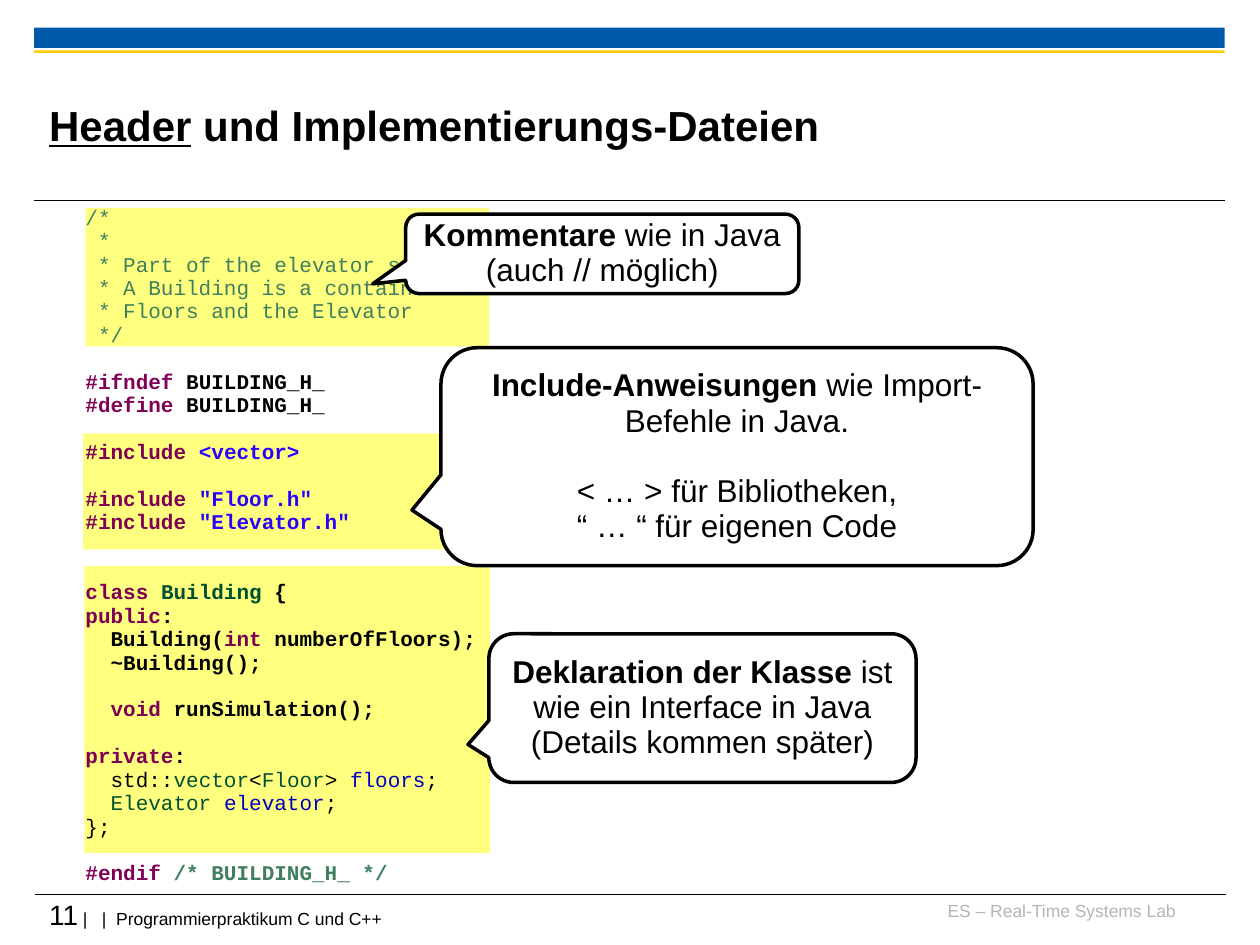
"""Build the slide on C++ header and implementation files."""
from lxml import etree
from pptx import Presentation
from pptx import util as u
from pptx.dml.color import RGBColor
from pptx.enum import shapes, text
from pptx.oxml.ns import qn

COLOURS = {
    "black": "000000", "white": "FFFFFF", "blue": "005AA9", "gold": "FDCA00",
    "grey": "B5B5B5", "highlight": "FFFF00", "comment": "3F7F5F",
    "keyword": "7F0055", "string": "2A00FF", "type": "005032", "field": "0000C0",
}
LINE_SPACING = 0.93


def add_spans(para, spans, size, font="Arial"):
    """Append (text, colour, bold) spans to a paragraph."""
    for content, colour, bold in spans:
        span = para.add_run()
        span.text = content
        span.font.name = font
        span.font.size = u.Pt(size)
        span.font.bold = bold
        span.font.color.rgb = RGBColor.from_string(COLOURS[colour])


def add_box(page, place, anchor=text.MSO_ANCHOR.TOP, inset=(0, 0)):
    """Add a wrapping text box and return it."""
    box = page.shapes.add_textbox(*map(u.Inches, place))
    frame = box.text_frame
    frame.word_wrap = True
    frame.vertical_anchor = anchor
    frame.margin_left = frame.margin_right = u.Inches(inset[0])
    frame.margin_top = frame.margin_bottom = u.Inches(inset[1])
    return box


deck = Presentation()
deck.slide_width, deck.slide_height = u.Inches(10), u.Inches(7.5)
page = deck.slides.add_slide(deck.slide_layouts[6])

for left, y in ((0.28, 7.1), (0.27, 1.59)):
    rule = page.shapes.add_connector(
        shapes.MSO_CONNECTOR.STRAIGHT,
        u.Inches(left), u.Inches(y), u.Inches(left + 9.45), u.Inches(y))
    rule.line.color.rgb = RGBColor.from_string(COLOURS["black"])
    rule.line.width = u.Pt(0.6)
    etree.SubElement(rule.element.spPr, qn("a:effectLst"))

panels = [
    ((0.27, 0.22, 9.45, 0.16), "blue"),
    ((0.27, 0.4, 9.45, 0.02), "gold"),
    ((0.67, 4.49, 3.22, 2.28), "highlight"),
    ((0.66, 3.44, 3.23, 0.92), "highlight"),
    ((0.68, 1.65, 3.2, 1.1), "highlight"),
]
for place, colour in panels:
    panel = page.shapes.add_shape(
        shapes.MSO_SHAPE.RECTANGLE, *map(u.Inches, place))
    panel.shadow.inherit = False
    panel.line.fill.background()
    panel.fill.solid()
    panel.fill.fore_color.rgb = RGBColor.from_string(COLOURS[colour])
    if colour == "highlight":
        tint = panel.element.spPr.find(qn("a:solidFill"))[0]
        etree.SubElement(tint, qn("a:alpha"), val="50000")

lab = add_box(page, (7.36, 7.14, 1.97, 0.25))
lab_para = lab.text_frame.paragraphs[0]
lab_para.alignment = text.PP_ALIGN.RIGHT
add_spans(lab_para, [("ES – Real-Time Systems Lab", "grey", False)], 10)
lab_para.space_before = u.Pt(0)

footer_para = add_box(page, (0.39, 7.12, 9.33, 0.33)).text_frame.paragraphs[0]
add_spans(footer_para, [("11", "black", False)], 16)
add_spans(footer_para, [(" |   |  Programmierpraktikum C und C++", "black", False)], 10)

title = add_box(page, (0.39, 0.53, 7.52, 0.92), text.MSO_ANCHOR.MIDDLE)
title_para = title.text_frame.paragraphs[0]
add_spans(title_para, [("Header", "black", True),
                       (" und Implementierungs-Dateien", "black", True)], 24)
title_para.runs[0].font.underline = True

code_line = 13.37
code_blocks = [
    (0, False, [[(line, "comment")] for line in (
        "/*", " *", " * Part of the elevator simulation",
        " * A Building is a container for", " * Floors and the Elevator", " */")]),
    (1, True, [[(word, "keyword"), (" BUILDING_H_", "black")]
               for word in ("#ifndef", "#define")]),
    (1, True, [[("#include ", "keyword"), ("<vector>", "string")]]),
    (1, True, [[("#include ", "keyword"), (name, "string")]
               for name in ('"Floor.h"', '"Elevator.h"')]),
    (2, True, [
        [("class ", "keyword"), ("Building", "type"), (" {", "black")],
        [("public", "keyword"), (":", "black")],
        [("  Building(", "black"), ("int", "keyword"), (" numberOfFloors);", "black")],
        [("  ~Building();", "black")]]),
    (1, True, [[("  void", "keyword"), (" runSimulation();", "black")]]),
    (1, True, [[("private", "keyword"), (":", "black")]]),
    (0, False, [
        [("  std::", "black"), ("vector", "type"), ("<", "black"), ("Floor", "type"),
         ("> ", "black"), ("floors", "field"), (";", "black")],
        [("  Elevator ", "type"), ("elevator", "field"), (";", "black")],
        [("};", "black")]]),
    (1, True, [[("#endif ", "keyword"), ("/* BUILDING_H_ */", "comment")]]),
]
code = add_box(page, (0.58, 1.59, 4.34, 5.49), inset=(0.1, 0.05)).text_frame
para = code.paragraphs[0]
for gap, bold, lines in code_blocks:
    for index, line in enumerate(lines):
        if para.runs:
            para = code.add_paragraph()
        para.line_spacing = LINE_SPACING
        para.space_before = u.Pt(0 if index else gap * code_line)
        add_spans(para, [(*span, bold) for span in line], 12, "Courier New")

callouts = [
    ((3.22, 1.7, 3.12, 0.63), (-0.584, 0.378), [
        (0, "Kommentare", " wie in Java"),
        (0, "", "(auch // möglich)")]),
    ((3.5, 2.76, 4.7, 1.73), (-0.549, 0.245), [
        (0, "Include-Anweisungen", " wie Import-Befehle in Java."),
        (20.1, "", "< … > für Bibliotheken,"),
        (0, "", "“ … “ für eigenen Code")]),
    ((3.88, 5.03, 3.39, 1.18), (-0.549, 0.245), [
        (0, "Deklaration der Klasse",
         " ist wie ein Interface in Java (Details kommen später)")]),
]
for place, tip, lines in callouts:
    callout = page.shapes.add_shape(
        shapes.MSO_SHAPE.ROUNDED_RECTANGULAR_CALLOUT, *map(u.Inches, place))
    callout.adjustments[0], callout.adjustments[1] = tip
    callout.shadow.inherit = False
    callout.fill.solid()
    callout.fill.fore_color.rgb = RGBColor.from_string(COLOURS["white"])
    callout.line.color.rgb = RGBColor.from_string(COLOURS["black"])
    callout.line.width = u.Pt(2)
    frame = callout.text_frame
    frame.word_wrap = True
    frame.vertical_anchor = text.MSO_ANCHOR.MIDDLE
    for index, (gap, strong, plain) in enumerate(lines):
        para = frame.add_paragraph() if index else frame.paragraphs[0]
        para.alignment = text.PP_ALIGN.CENTER
        para.line_spacing = LINE_SPACING
        para.space_before = u.Pt(gap)
        spans = [(strong, "black", True), (plain, "black", False)]
        add_spans(para, [span for span in spans if span[0]], 18)

deck.save("out.pptx")
